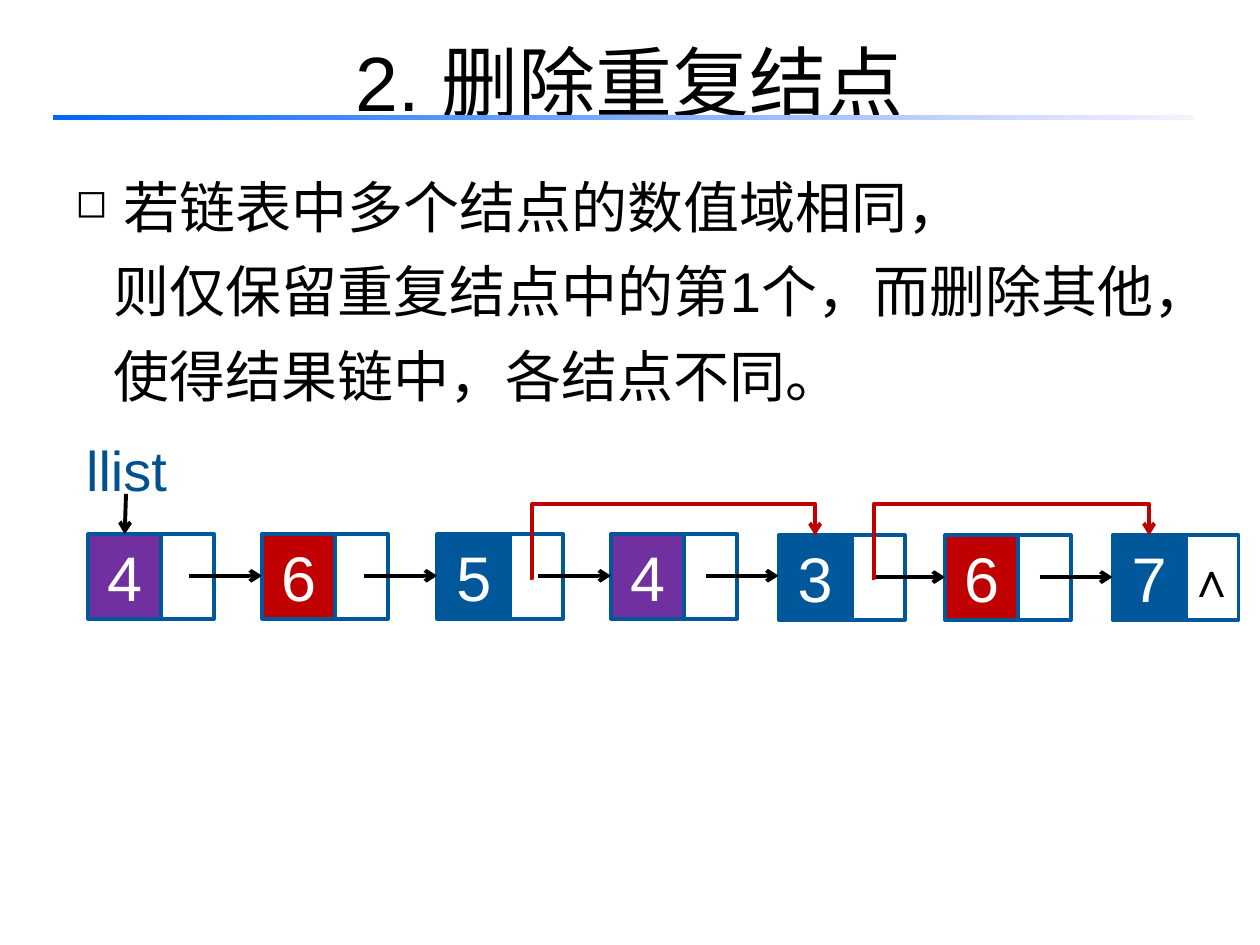
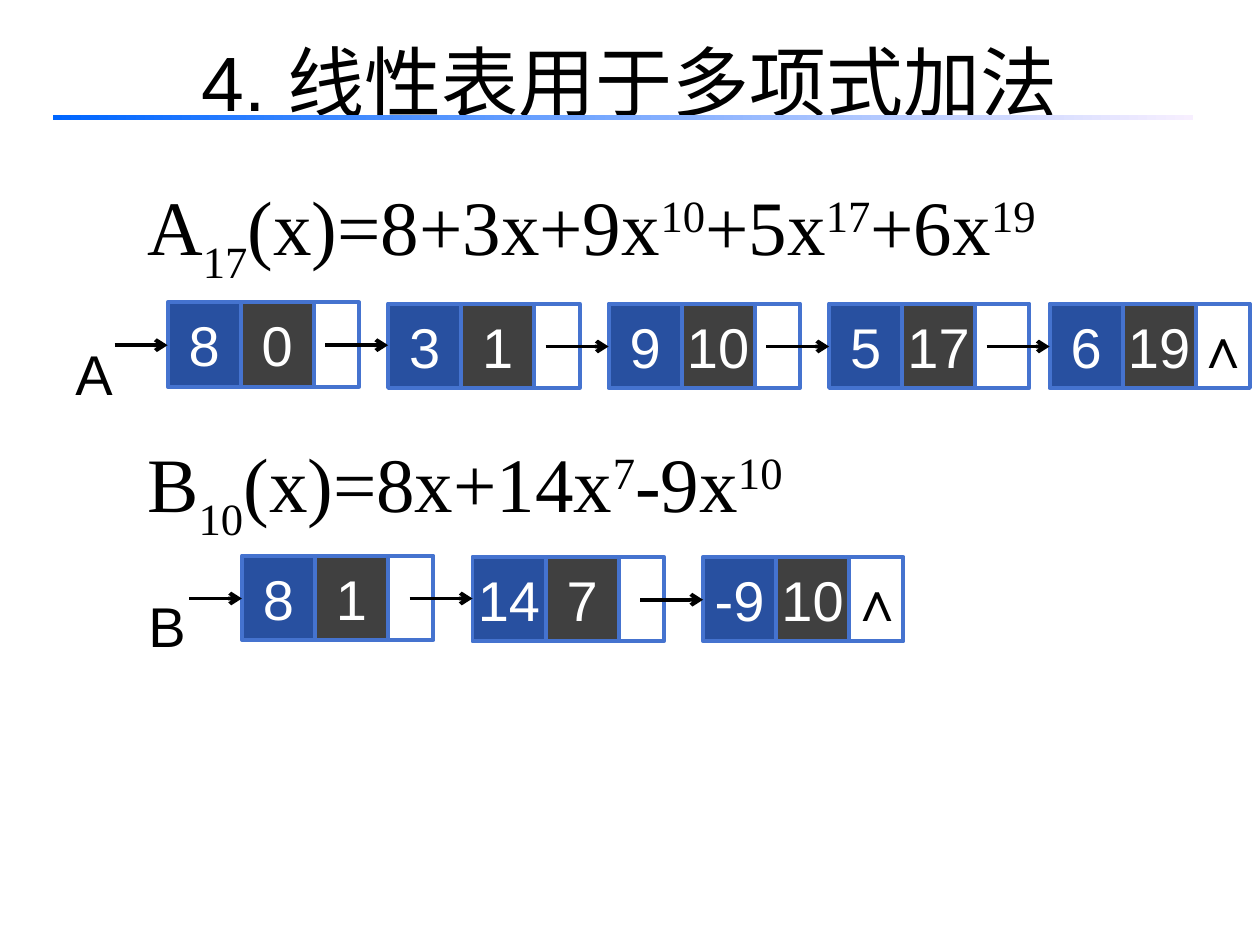
from dataclasses import dataclass

from lxml.etree import SubElement
from pptx import Presentation
from pptx.dml.color import RGBColor
from pptx.enum.shapes import MSO_CONNECTOR, MSO_SHAPE
from pptx.enum.text import MSO_ANCHOR, PP_ALIGN
from pptx.oxml.ns import qn
from pptx.util import Emu, Pt

PX = 9144  # one px is a hundredth of an inch
COLORS = {
    "black": "000000", "white": "FFFFFF",
    "rule_start": "0066FF", "rule_end": "F7EFFF",
    "list_blue": "00589A", "label_blue": "00518E",
    "purple": "7030A0", "red": "C00000",
    "coefficient": "2850A0", "exponent": "404040", "term_line": "4573CF",
}
CELL_WIDTH, POINTER_WIDTH, CELL_HEIGHT = 58, 52, 67
LINE_WIDTH = Pt(2.25)
SUB, SUP = -30, 30


@dataclass(frozen=True)
class TextStyle:
    size: int
    color: str = "black"
    font: str = "Arial"
    bold: bool = False
    align: PP_ALIGN = PP_ALIGN.LEFT
    anchor: MSO_ANCHOR = MSO_ANCHOR.TOP
    spacing: float = 1.0
    wrap: bool = True
    inset_left: int = 10
    inset_top: int = 5


@dataclass(frozen=True)
class ListStyle:
    line: str
    text_size: int
    null_size: int
    arrow_length: int
    arrow_drop: int


@dataclass(frozen=True)
class Node:
    left: int
    top: int
    cells: tuple[tuple[str, str], ...]  # (value, fill colour)
    pointer_offset: int


TITLE = TextStyle(44, align=PP_ALIGN.CENTER, anchor=MSO_ANCHOR.MIDDLE, spacing=1.25)
BODY = TextStyle(32, spacing=1.3, inset_top=13)
HEAD_NAME = TextStyle(32, "label_blue", align=PP_ALIGN.CENTER,
                      anchor=MSO_ANCHOR.MIDDLE, spacing=0.9, wrap=False)
LIST_NAME = TextStyle(32, spacing=1.25, inset_top=23)
FORMULA = TextStyle(44, font="Times New Roman", anchor=MSO_ANCHOR.BOTTOM, spacing=1.4)
NUMBER_LIST = ListStyle("list_blue", 36, 28, 58, 33)
TERM_LIST = ListStyle("term_line", 32, 32, 50, 34)


def px(*lengths: int) -> list[Emu]:
    return [Emu(length * PX) for length in lengths]


def rgb(name: str) -> RGBColor:
    return RGBColor.from_string(COLORS[name])


def write(shape, runs: list[tuple[str, int]], style: TextStyle):
    """Fill a shape with one paragraph of (text, baseline percent) runs."""
    frame = shape.text_frame
    frame.word_wrap = style.wrap
    frame.vertical_anchor = style.anchor
    frame.margin_left, frame.margin_top = px(style.inset_left, style.inset_top)
    paragraph = frame.paragraphs[0]
    paragraph.alignment = style.align
    paragraph.line_spacing = style.spacing
    for text, baseline in runs:
        run = paragraph.add_run()
        run.text = text
        run.font.size = Pt(style.size)
        run.font.name = style.font
        run.font.bold = style.bold
        run.font.color.rgb = rgb(style.color)
        if baseline:
            run._r.get_or_add_rPr().set("baseline", str(baseline * 1000))
    return paragraph


def add_text(slide, box: tuple[int, int, int, int], text: str, style: TextStyle):
    return write(slide.shapes.add_textbox(*px(*box)), [(text, 0)], style)


def add_box(slide, box: tuple[int, int, int, int], fill: str | None = None,
            line: str | None = None):
    shape = slide.shapes.add_shape(MSO_SHAPE.RECTANGLE, *px(*box))
    shape.shadow.inherit = False
    if fill:
        shape.fill.solid()
        shape.fill.fore_color.rgb = rgb(fill)
    else:
        shape.fill.background()
    if line:
        shape.line.color.rgb = rgb(line)
        shape.line.width = LINE_WIDTH
    else:
        shape.line.fill.background()
    return shape


def add_arrow(slide, start: tuple[int, int], end: tuple[int, int],
              color: str = "black", kind: MSO_CONNECTOR = MSO_CONNECTOR.STRAIGHT):
    arrow = slide.shapes.add_connector(kind, *px(*start, *end))
    arrow.line.color.rgb = rgb(color)
    arrow.line.width = LINE_WIDTH
    SubElement(arrow.line._get_or_add_ln(), qn("a:tailEnd"), type="arrow")
    SubElement(arrow._element.spPr, qn("a:effectLst"))
    return arrow


def add_bypass(slide, start: tuple[int, int], end: tuple[int, int], crest: int) -> None:
    """Red arrow that climbs to the crest and comes down on a later node."""
    arrow = add_arrow(slide, start, end, "red", MSO_CONNECTOR.ELBOW)
    geometry = arrow._element.spPr.find(qn("a:prstGeom"))
    geometry.set("prst", "bentConnector4")
    guides = geometry.find(qn("a:avLst"))
    if guides is None:
        guides = SubElement(geometry, qn("a:avLst"))
    climb = round(100000 * (start[1] - crest) / (start[1] - end[1]))
    for name, value in (("adj1", 750), ("adj2", climb)):
        SubElement(guides, qn("a:gd"), name=name, fmla=f"val {value}")


def add_linked_list(slide, nodes: list[Node], style: ListStyle) -> None:
    cell_text = TextStyle(style.text_size, "white", align=PP_ALIGN.CENTER,
                          anchor=MSO_ANCHOR.MIDDLE, wrap=False)
    null_text = TextStyle(style.null_size, bold=True, align=PP_ALIGN.CENTER,
                          anchor=MSO_ANCHOR.MIDDLE, wrap=False, inset_left=20)
    for node in nodes:
        pointer = add_box(slide, (node.left + node.pointer_offset, node.top,
                                  POINTER_WIDTH, CELL_HEIGHT), line=style.line)
        if node is nodes[-1]:
            write(pointer, [("∧", 0)], null_text)
        for index, (value, fill) in enumerate(node.cells):
            cell = add_box(slide, (node.left + index * CELL_WIDTH, node.top,
                                   CELL_WIDTH, CELL_HEIGHT), fill, style.line)
            write(cell, [(value, 0)], cell_text)
    for node, following in zip(nodes, nodes[1:]):
        y = node.top + style.arrow_drop
        add_arrow(slide, (following.left - style.arrow_length, y), (following.left, y))


def add_titled_slide(presentation, title: str):
    slide = presentation.slides.add_slide(presentation.slide_layouts[6])
    add_text(slide, (50, -8, 900, 125), title, TITLE)
    rule = add_box(slide, (42, 91, 905, 4))
    rule.fill.gradient()
    rule.fill.gradient_angle = 0
    for stop, color in zip(rule.fill.gradient_stops, ("rule_start", "rule_end")):
        stop.color.rgb = rgb(color)
    return slide


def add_formula(slide, top: int, height: int, runs: list[tuple[str, int]]) -> None:
    panel = add_box(slide, (107, top, 818, height), "white")
    color = panel.fill._xPr.find(qn("a:solidFill"))[0]
    SubElement(color, qn("a:alpha"), val="50000")
    write(panel, runs, FORMULA)


def add_polynomial(slide, name: str, name_box: tuple[int, int, int, int], left: int,
                   top: int, pitch: int, terms: list[tuple[str, str]],
                   wide_from: int) -> None:
    """Named list of (coefficient, exponent) nodes; later nodes are wider."""
    add_text(slide, name_box, name, LIST_NAME)
    nodes = [
        Node(left + index * pitch, top + min(index, 1),
             ((coefficient, "coefficient"), (exponent, "exponent")),
             107 if index >= wide_from else 100)
        for index, (coefficient, exponent) in enumerate(terms)
    ]
    add_linked_list(slide, nodes, TERM_LIST)
    add_arrow(slide, (left - 42, top + 34), (left, top + 34))


def build_duplicates_slide(presentation) -> None:
    slide = add_titled_slide(presentation, "2. 删除重复结点")

    # Statement: one bulleted line and two continuation lines
    lines = ["若链表中多个结点的数值域相同，",
             "则仅保留重复结点中的第1个，而删除其他，",
             "使得结果链中，各结点不同。"]
    for index, line in enumerate(lines):
        paragraph = add_text(slide, (50, 108 + 67 * index, 975, 67), line, BODY)
        properties = paragraph._p.get_or_add_pPr()
        indent, hanging = (30, 0) if index else (38, -38)
        properties.set("marL", str(indent * PX))
        properties.set("indent", str(hanging * PX))
        if index == 0:
            SubElement(properties, qn("a:buSzPct"), val="70000")
            SubElement(properties, qn("a:buChar"), char="◻")

    # Linked list: equal values share a colour
    fills = {"4": "purple", "6": "red"}
    lefts = (70, 208, 347, 485, 618, 750, 883)
    nodes = [Node(left, 424 if index < 4 else 425,
                  ((value, fills.get(value, "list_blue")),), 48)
             for index, (left, value) in enumerate(zip(lefts, "4654367"))]
    add_linked_list(slide, nodes, NUMBER_LIST)
    add_text(slide, (58, 342, 85, 67), "llist", HEAD_NAME)
    add_arrow(slide, (100, 392), (99, 424))

    # Links that skip the repeated nodes
    for start, end in ((421, 647), (692, 912)):
        add_bypass(slide, (start, 459), (end, 425), 400)


def build_polynomials_slide(presentation) -> None:
    slide = add_titled_slide(presentation, "4. 线性表用于多项式加法")

    # Polynomial A
    add_formula(slide, 125, 108, [("A", 0), ("17", SUB), ("(x)=8+3x+9x", 0),
                                  ("10", SUP), ("+5x", 0), ("17", SUP),
                                  ("+6x", 0), ("19", SUP)])
    add_polynomial(slide, "A", (50, 233, 67, 71), 133, 240, 175,
                   [("8", "0"), ("3", "1"), ("9", "10"), ("5", "17"), ("6", "19")], 3)

    # Polynomial B
    add_formula(slide, 325, 112, [("B", 0), ("10", SUB), ("(x)=8x+14x", 0),
                                  ("7", SUP), ("-9x", 0), ("10", SUP)])
    add_polynomial(slide, "B", (108, 433, 67, 77), 192, 441, 183,
                   [("8", "1"), ("14", "7"), ("-9", "10")], 2)


def main() -> None:
    presentation = Presentation()
    presentation.slide_width, presentation.slide_height = px(1000, 750)
    build_duplicates_slide(presentation)
    build_polynomials_slide(presentation)
    presentation.save("out.pptx")


if __name__ == "__main__":
    main()
